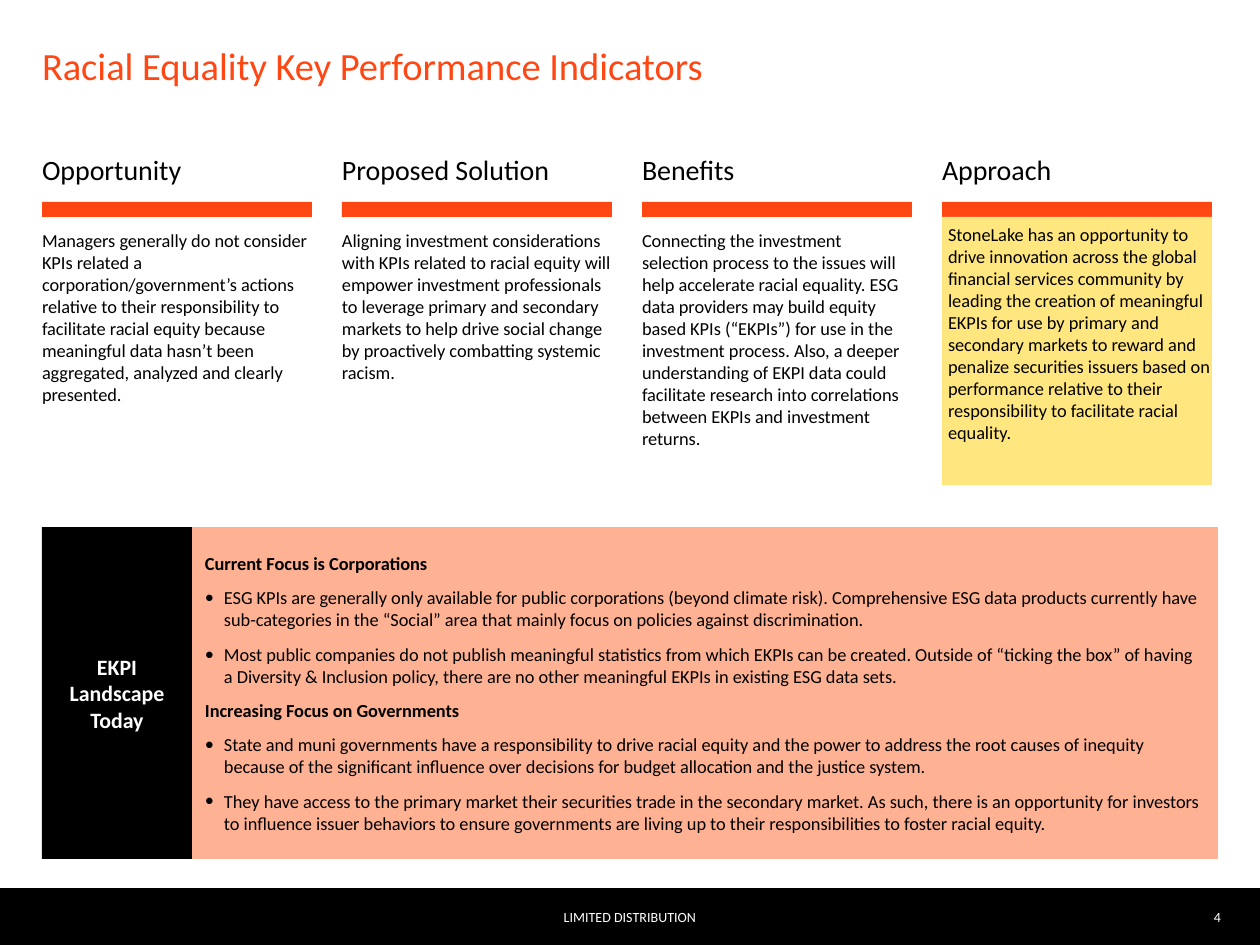
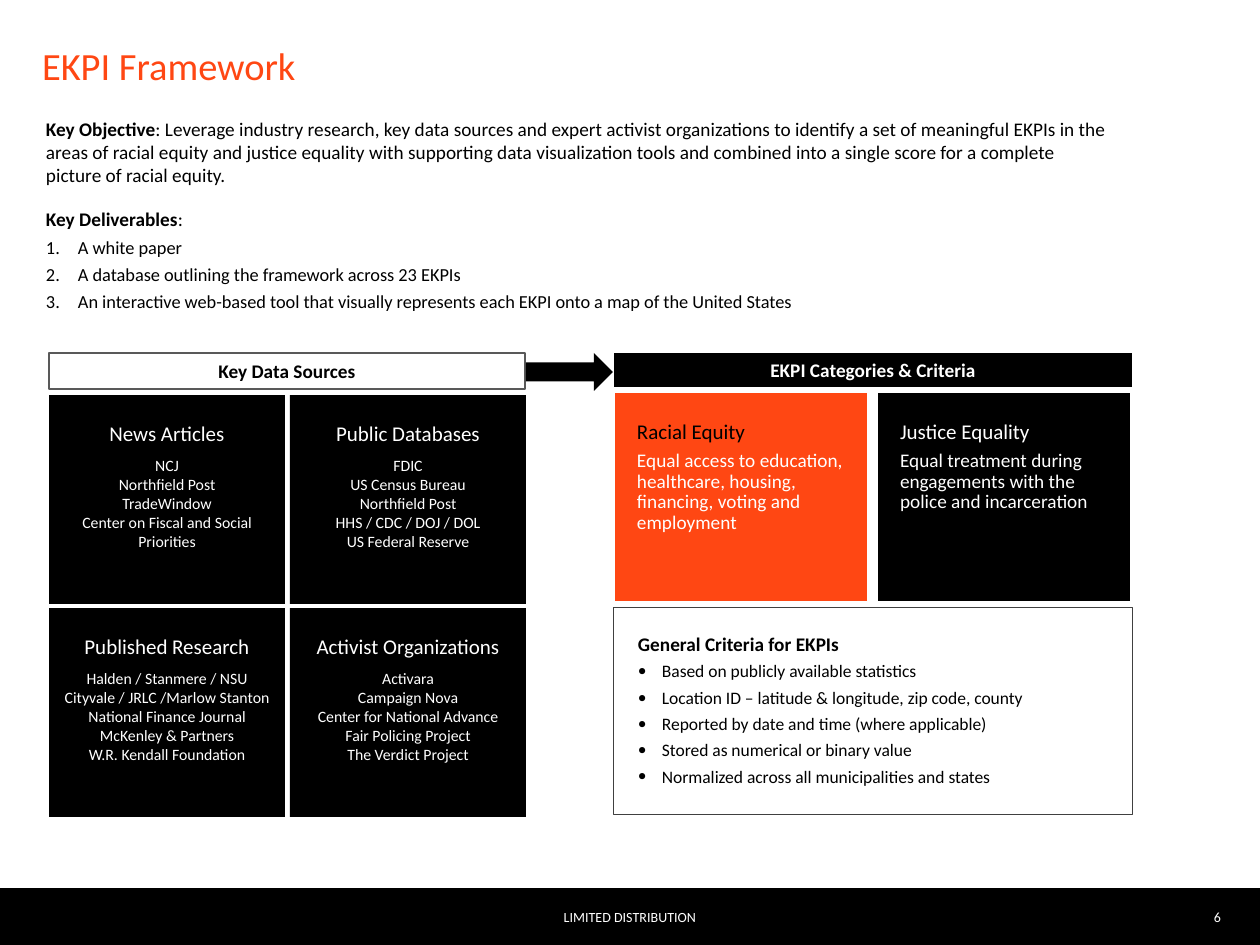
from lxml import etree
from pptx import Presentation, util as u
from pptx.dml.color import RGBColor
from pptx.enum import shapes, text
from pptx.oxml.ns import qn

RECT = shapes.MSO_SHAPE.RECTANGLE
ARROW = shapes.MSO_SHAPE.RIGHT_ARROW
MID = text.MSO_ANCHOR.MIDDLE
TOP = text.MSO_ANCHOR.TOP
MAIN = {"alignment": text.PP_ALIGN.CENTER}

THEME = {
    "face": "Calibri",
    "ink": {
        "black": "000000", "white": "FFFFFF", "red": "FF4713", "peach": "FFB194",
        "gold": "FFE67F", "grey": "595959", "dark": "404040",
    },
    "type": {
        "title": {"font": {"size": 22}},
        "foot": {"font": {"size": 8}, "para": MAIN},
        "page": {"font": {"size": 8}, "para": {"alignment": text.PP_ALIGN.RIGHT}},
        "column": {"font": {"size": 16}},
        "body": {"font": {"size": 10.5}},
        "focus": {"font": {"size": 10.5, "bold": True}, "para": {"space_before": u.Pt(7)}},
        "point": {"font": {"size": 10.5}, "para": {"space_before": u.Pt(7)}, "mark": "•", "hang": 19},
        "label": {"font": {"size": 12.5, "bold": True}, "para": MAIN},
        "goal": {"font": {"size": 11}, "para": {"space_after": u.Pt(6)}},
        "deliver": {"font": {"size": 11}, "para": {"space_before": u.Pt(6)}},
        "step": {"font": {"size": 10.5}, "para": {"space_before": u.Pt(3)}, "mark": "1.", "hang": 32},
        "bar": {"font": {"size": 11, "bold": True}, "para": MAIN},
        "group": {"font": {"size": 12}, "para": {**MAIN, "space_after": u.Pt(6)}},
        "source": {"font": {"size": 9}, "para": MAIN},
        "theme": {"font": {"size": 12}, "para": {"line_spacing": 0.9, "space_after": u.Pt(4)}},
        "scope": {"font": {"size": 11}, "para": {"line_spacing": 0.9, "space_after": u.Pt(4)}},
        "rule": {"font": {"size": 11, "bold": True}},
        "test": {"font": {"size": 10}, "para": {"space_before": u.Pt(3)}, "mark": "•", "hang": 24},
    },
}
SCALE = 914400 / 126


def px(n):
    return u.Emu(round(n * SCALE))


def box(slide, at, paras=(), kind=None, fill=None, line=None, ink="black",
        pad=(0, 0, 0, 0), anchor=TOP):
    spot = [px(n) for n in at]
    if kind is None:
        item = slide.shapes.add_textbox(*spot)
    else:
        item = slide.shapes.add_shape(kind, *spot)
        item.shadow.inherit = False
        if fill:
            item.fill.solid()
            item.fill.fore_color.rgb = RGBColor.from_string(THEME["ink"][fill])
        else:
            item.fill.background()
        if line:
            item.line.color.rgb = RGBColor.from_string(THEME["ink"][line[0]])
            item.line.width = u.Pt(line[1])
        else:
            item.line.fill.background()
    frame = item.text_frame
    sides = ("margin_left", "margin_top", "margin_right", "margin_bottom")
    form = {"word_wrap": True, "vertical_anchor": anchor, **dict(zip(sides, map(px, pad)))}
    for key, val in form.items():
        setattr(frame, key, val)
    for i, (name, words, *tint) in enumerate(paras):
        style = THEME["type"][name]
        para = frame.add_paragraph() if i else frame.paragraphs[0]
        for key, val in {"alignment": text.PP_ALIGN.LEFT, **style.get("para", {})}.items():
            setattr(para, key, val)
        if "mark" in style:
            prop = para._p.get_or_add_pPr()
            prop.set("marL", str(px(style["hang"])))
            prop.set("indent", str(-px(style["hang"])))
            etree.SubElement(prop, qn("a:buFont"), typeface=THEME["face"])
            if style["mark"] == "•":
                etree.SubElement(prop, qn("a:buChar"), char="•")
            else:
                etree.SubElement(prop, qn("a:buAutoNum"), type="arabicPeriod")
        parts = words.split("|")
        for j, part in enumerate(parts):
            run = para.add_run()
            run.text = part
            look = {"name": THEME["face"], "bold": len(parts) > 1 and j == 0, **style["font"]}
            look["size"] = u.Pt(look["size"])
            for key, val in look.items():
                setattr(run.font, key, val)
            run.font.color.rgb = RGBColor.from_string(THEME["ink"][tint[0] if tint else ink])


deck = Presentation()
deck.slide_width, deck.slide_height = px(1260), px(945)
pages = []
for title, num in (("Racial Equality Key Performance Indicators", "4"), ("EKPI Framework", "6")):
    page = deck.slides.add_slide(deck.slide_layouts[6])
    box(page, (0, 888, 1260, 57), kind=RECT, fill="black")
    box(page, (42, 42, 1176, 82), [("title", title)], ink="red")
    box(page, (1164, 888, 57, 57), [("page", num)], ink="white", anchor=MID)
    box(page, (220, 888, 820, 57), [("foot", "LIMITED DISTRIBUTION")], ink="white", anchor=MID)
    pages.append(page)
kpi, plan = pages

columns = [
    ("Opportunity", "Managers generally do not consider KPIs related a corporation/government’s actions "
     "relative to their responsibility to facilitate racial equity because meaningful data hasn’t been "
     "aggregated, analyzed and clearly presented."),
    ("Proposed Solution", "Aligning investment considerations with KPIs related to racial equity will "
     "empower investment professionals to leverage primary and secondary markets to help drive social "
     "change by proactively combatting systemic racism."),
    ("Benefits", "Connecting the investment selection process to the issues will help accelerate racial "
     "equality. ESG data providers may build equity based KPIs (“EKPIs”) for use in the investment "
     "process. Also, a deeper understanding of EKPI data could facilitate research into correlations "
     "between EKPIs and investment returns."),
    ("Approach", "StoneLake has an opportunity to drive innovation across the global financial services "
     "community by leading the creation of meaningful EKPIs for use by primary and secondary markets to "
     "reward and penalize securities issuers based on performance relative to their responsibility to "
     "facilitate racial equality."),
]
for i, (head, words) in enumerate(columns):
    left = 42 + 300 * i
    box(kpi, (left, 202, 270, 15), kind=RECT, fill="red")
    box(kpi, (left, 153, 270, 45), [("column", head)])
    form = {"pad": (0, 12, 0, 0)}
    if head == "Approach":
        form = {"pad": (6, 6, 0, 0), "kind": RECT, "fill": "gold"}
    box(kpi, (left, 217, 270, 268), [("body", words)], **form)

box(kpi, (192, 527, 1026, 332), [
    ("focus", "Current Focus is Corporations"),
    ("point", "ESG KPIs are generally only available for public corporations (beyond climate risk). "
     "Comprehensive ESG data products currently have sub-categories in the “Social” area that mainly "
     "focus on policies against discrimination."),
    ("point", "Most public companies do not publish meaningful statistics from which EKPIs can be created. "
     "Outside of “ticking the box” of having a Diversity & Inclusion policy, there are no other "
     "meaningful EKPIs in existing ESG data sets."),
    ("focus", "Increasing Focus on Governments"),
    ("point", "State and muni governments have a responsibility to drive racial equity and the power to "
     "address the root causes of inequity because of the significant influence over decisions for budget "
     "allocation and the justice system."),
    ("point", "They have access to the primary market their securities trade in the secondary market. As "
     "such, there is an opportunity for investors to influence issuer behaviors to ensure governments are "
     "living up to their responsibilities to foster racial equity."),
], kind=RECT, fill="peach", pad=(13, 13, 13, 13), anchor=MID)
box(kpi, (42, 527, 150, 332), [("label", "EKPI Landscape"), ("label", "Today")],
    kind=RECT, fill="black", ink="white", pad=(13, 13, 13, 13), anchor=MID)

box(plan, (33, 111, 1089, 210), [
    ("goal", "Key Objective|: Leverage industry research, key data sources and expert activist "
     "organizations to identify a set of meaningful EKPIs in the areas of racial equity and justice "
     "equality with supporting data visualization tools and combined into a single score for a complete "
     "picture of racial equity."),
    ("deliver", "Key Deliverables|:"),
    ("step", "A white paper"),
    ("step", "A database outlining the framework across 23 EKPIs"),
    ("step", "An interactive web-based tool that visually represents each EKPI onto a map of the United States"),
], pad=(13, 6, 13, 6))

tiles = [
    ("News Articles", ["NCJ", "Northfield Post", "TradeWindow", "Center on Fiscal and Social Priorities"]),
    ("Public Databases", ["FDIC", "US Census Bureau", "Northfield Post", "HHS / CDC / DOJ / DOL",
                          "US Federal Reserve"]),
    ("Published Research", ["Halden / Stanmere / NSU", "Cityvale / JRLC /Marlow Stanton",
                            "National Finance Journal", "McKenley & Partners", "W.R. Kendall Foundation"]),
    ("Activist Organizations", ["Activara", "Campaign Nova", "Center for National Advance",
                                "Fair Policing Project", "The Verdict Project"]),
]
for i, (head, names) in enumerate(tiles):
    row, col = divmod(i, 2)
    box(plan, (49 + 241 * col, 395 + 213 * row, 236, 209),
        [("group", head)] + [("source", name) for name in names],
        kind=RECT, fill="black", ink="white", pad=(3, 25, 3, 3))

box(plan, (49, 353, 476, 36), [("bar", "Key Data Sources")], kind=RECT, fill="white",
    line=("grey", 0.75), pad=(13, 6, 13, 6), anchor=MID)
tests = [
    "Based on publicly available statistics",
    "Location ID – latitude & longitude, zip code, county",
    "Reported by date and time (where applicable)",
    "Stored as numerical or binary value",
    "Normalized across all municipalities and states",
]
box(plan, (613, 607, 519, 207),
    [("rule", "General Criteria for EKPIs")] + [("test", test) for test in tests],
    kind=RECT, line=("dark", 0.25), pad=(25, 25, 38, 25))

panels = [
    ("Racial Equity", "Equal access to education, healthcare, housing, financing, voting and employment",
     "red", "black"),
    ("Justice Equality", "Equal treatment during engagements with the police and incarceration",
     "black", "white"),
]
for i, (head, words, fill, tint) in enumerate(panels):
    box(plan, (612 + 263 * i, 390, 258, 214), [("theme", head, tint), ("scope", words)],
        kind=RECT, fill=fill, line=("white", 3), ink="white", pad=(25, 31, 25, 13))
box(plan, (613, 352, 520, 36), [("bar", "EKPI Categories & Criteria")], kind=RECT, fill="black",
    line=("white", 1.5), ink="white", pad=(13, 6, 13, 6), anchor=MID)
box(plan, (526, 353, 87, 38), kind=ARROW, fill="black")

deck.save("out.pptx")
